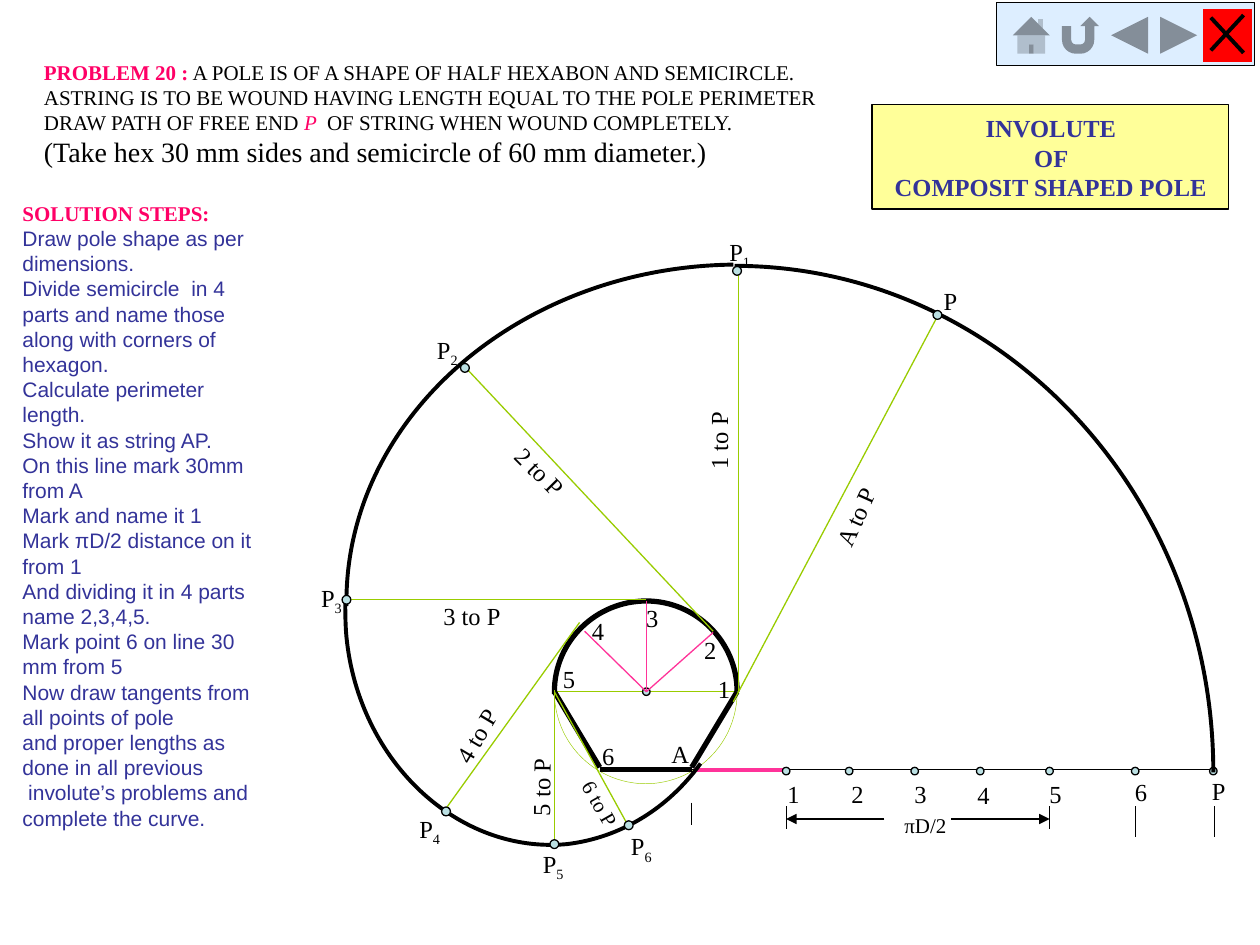
from lxml import etree
from pptx import Presentation
from pptx.dml.color import RGBColor
from pptx.enum.shapes import MSO_CONNECTOR, MSO_SHAPE
from pptx.enum.text import MSO_AUTO_SIZE, PP_ALIGN
from pptx.oxml.ns import qn
from pptx.util import Inches, Pt

STRAIGHT = MSO_CONNECTOR.STRAIGHT
OVAL, RECTANGLE, BLANK_BUTTON = MSO_SHAPE.OVAL, MSO_SHAPE.RECTANGLE, MSO_SHAPE.ACTION_BUTTON_CUSTOM
BUTTON_ICONS = (MSO_SHAPE.ACTION_BUTTON_HOME, MSO_SHAPE.ACTION_BUTTON_RETURN,
                MSO_SHAPE.ACTION_BUTTON_BACK_OR_PREVIOUS,
                MSO_SHAPE.ACTION_BUTTON_FORWARD_OR_NEXT)
FIT_TEXT, CENTER, LEFT = MSO_AUTO_SIZE.SHAPE_TO_FIT_TEXT, PP_ALIGN.CENTER, PP_ALIGN.LEFT


class Theme:
    serif, sans = "Times New Roman", "Arial"
    black, white, navy = "000000", "FFFFFF", "333399"
    red, close_red, pink = "FF0066", "FF0000", "FF3399"
    green, dot, yellow, button = "99CC00", "BBE0E3", "FFFF99", "DDEEFF"
    small, label, large = 12, 14, 16
    hair, thin, curve, pole = 0.25, 0.75, 2.25, 3


# Each paragraph is a list of (text, colour, bold, italic)
PROBLEM = [
    [("PROBLEM 20 :", Theme.red, True, False),
     (" A POLE IS OF A SHAPE OF HALF HEXABON AND SEMICIRCLE.", Theme.black, False, False)],
    [("ASTRING IS TO BE WOUND HAVING LENGTH EQUAL TO THE POLE PERIMETER",
      Theme.black, False, False)],
    [("DRAW PATH OF FREE END ", Theme.black, False, False), ("P ", Theme.red, False, True),
     (" OF STRING WHEN WOUND COMPLETELY.", Theme.black, False, False)],
    [("(Take hex 30 mm sides and semicircle of 60 mm diameter.)", Theme.black, False, False)],
]
TITLE = ["INVOLUTE", " OF ", "COMPOSIT SHAPED POLE"]
STEPS_HEADING = "SOLUTION STEPS:"
STEPS = [
    "Draw pole shape as per dimensions.",
    "Divide semicircle  in 4 parts and name those along with corners of  hexagon.",
    "Calculate perimeter length.",
    "Show it as string AP.",
    "On this line mark 30mm from A",
    "Mark and name it 1",
    "Mark πD/2 distance on it from 1",
    "And dividing it in 4 parts name 2,3,4,5.",
    "Mark point 6 on line 30 mm from 5",
    "Now draw tangents from all points of pole",
    "and proper lengths as done in all previous",
    " involute’s problems and complete the curve.",
]

# Lines: start, end, colour, width
POLE_SIDES = [((4.4, 5.49), (5.85, 5.49), Theme.green, Theme.thin),
              ((4.76, 6.11), (5.49, 6.11), Theme.black, Theme.pole),
              ((4.4, 5.49), (4.76, 6.09), Theme.black, Theme.pole),
              ((5.85, 5.49), (5.49, 6.09), Theme.black, Theme.pole)]
RADIUS_ENDS = [(5.13, 4.77), (4.64, 5.01), (5.66, 5.02)]
POLE_CENTER = (5.13, 5.49)
STRING_Y = 6.11

# Curves: start point, then control, control, end for each Bezier segment
SEMICIRCLE = [(4.4, 5.51), (4.4, 5.5), (4.4, 5.5), (4.4, 5.49),
              (4.4, 5.09), (4.73, 4.77), (5.13, 4.77),
              (5.52, 4.77), (5.85, 5.09), (5.85, 5.49)]
INVOLUTE = [
    [(5.83, 2.11), (7.93, 2.11), (9.63, 3.91), (9.63, 6.13)],
    [(5.82, 2.1), (4.11, 2.12), (2.73, 3.33), (2.75, 4.81)],
    [(2.74, 4.75), (2.74, 4.85), (2.74, 4.96), (2.75, 5.06),
     (2.85, 6.05), (3.64, 6.78), (4.5, 6.7),
     (4.92, 6.65), (5.3, 6.42), (5.56, 6.06)],
]

# Names: text, left, top
POLE_NAMES = [("1", 5.6, 5.3), ("2", 5.49, 4.99), ("3", 5.03, 4.74), ("4", 4.6, 4.84),
              ("5", 4.37, 5.22), ("6", 4.68, 5.83), ("A", 5.23, 5.82)]
STRING_NAMES = [("1", 6.15, 6.13), ("2", 6.66, 6.13), ("3", 7.16, 6.13), ("4", 7.66, 6.14),
                ("5", 8.23, 6.13), ("6", 8.91, 6.12), ("P", 9.52, 6.11)]
STRING_DOTS = [6.24, 6.74, 7.26, 7.78, 8.33, 9.01, 9.63]
TICKS = [(5.49, 6.37, 6.55), (6.24, 6.4, 6.58), (8.33, 6.4, 6.58),
         (9.01, 6.4, 6.64), (9.64, 6.4, 6.64)]  # x, top, bottom
ARROWS = [((7.55, 6.5), (8.33, 6.5)), ((7.02, 6.5), (6.24, 6.5))]

# Tangents: pole point, tangent end, dot centre, subscript, P place,
# (label, left, top, width, rotation, size)
TANGENTS = [
    ((5.86, 5.5), (5.86, 2.13), (5.85, 2.15), "1", (5.69, 1.83),
     ("1 to P", 5.37, 3.33, 0.66, 270, Theme.label)),
    ((5.66, 5.01), (3.67, 2.89), (3.69, 2.92), "2", (3.37, 2.61),
     ("2 to P", 3.96, 3.58, 0.66, 45.3, Theme.label)),
    ((5.13, 4.76), (2.73, 4.76), (2.75, 4.76), "3", (2.45, 4.58),
     ("3 to P", 3.42, 4.72, 0.66, 0, Theme.label)),
    ((4.6, 4.94), (3.53, 6.43), (3.54, 6.44), "4", (3.23, 6.41),
     ("4 to P", 3.45, 5.67, 0.66, 300.7, Theme.label)),
    ((5.82, 5.57), (7.43, 2.53), (7.44, 2.5), "", (7.39, 2.22),
     ("A to P", 6.44, 3.93, 0.7, 294.2, Theme.label)),
    ((4.4, 5.48), (4.4, 6.69), (4.4, 6.7), "5", (4.21, 6.69),
     ("5 to P", 3.96, 6.08, 0.66, 270.5, Theme.label)),
    ((4.4, 5.49), (5, 6.58), (4.99, 6.55), "6", (4.91, 6.55),
     ("6 to P", 4.47, 6.23, 0.59, 60.4, Theme.small)),
]
BUTTON_LEFT, BUTTON_TOP, BUTTON_STEP = 7.99, 0.07, 0.39
CLOSE_CROSS = [((9.61, 0.14), (9.87, 0.42)), ((9.87, 0.12), (9.61, 0.4))]


def rgb(color):
    return RGBColor.from_string(color)


def inches(*lengths):
    return [Inches(length) for length in lengths]


def add_line(page, start, end, color=Theme.black, width=Theme.thin, arrow=False):
    line = page.shapes.add_connector(STRAIGHT, *inches(*start, *end))
    line.line.color.rgb = rgb(color)
    line.line.width = Pt(width)
    properties = line._element.spPr
    if arrow:
        etree.SubElement(properties.find(qn("a:ln")), qn("a:tailEnd"), type="triangle")
    etree.SubElement(properties, qn("a:effectLst"))


def add_box(page, kind, place, fill, line=None, width=Theme.thin):
    box = page.shapes.add_shape(kind, *inches(*place))
    box.shadow.inherit = False
    box.fill.solid()
    box.fill.fore_color.rgb = rgb(fill)
    if line:
        box.line.color.rgb = rgb(line)
        box.line.width = Pt(width)
    else:
        box.line.fill.background()


def add_dot(page, center, size=0.07):
    x, y = center
    add_box(page, OVAL, (x - size / 2, y - size / 2, size, size), Theme.dot, Theme.black)


def add_curve(page, points, width):
    """Outline the points, then turn each three straight steps into one Bezier segment."""
    start, *rest = [inches(*point) for point in points]
    builder = page.shapes.build_freeform(*start)
    builder.add_line_segments(rest, close=False)
    curve = builder.convert_to_shape()
    steps = list(curve._element.iter(qn("a:lnTo")))
    for index in range(0, len(steps), 3):
        segment = etree.Element(qn("a:cubicBezTo"))
        steps[index].addprevious(segment)
        for step in steps[index:index + 3]:
            segment.append(step[0])
            step.getparent().remove(step)
    curve.shadow.inherit = False
    curve.fill.background()
    curve.line.color.rgb = rgb(Theme.black)
    curve.line.width = Pt(width)


def add_text(page, place, paragraphs, wrap=False, rotation=0):
    """Paragraphs are (spans, size, font, alignment); spans as in PROBLEM."""
    box = page.shapes.add_textbox(*inches(*place))
    box.rotation = rotation
    frame = box.text_frame
    frame.word_wrap = wrap
    frame.auto_size = FIT_TEXT
    for index, (spans, size, font, alignment) in enumerate(paragraphs):
        para = frame.paragraphs[0] if index == 0 else frame.add_paragraph()
        para.alignment = alignment
        for text, color, bold, italic in spans:
            span = para.add_run()
            span.text = text
            span.font.size, span.font.name = Pt(size), font
            span.font.color.rgb = rgb(color)
            span.font.bold, span.font.italic = bold, italic
    return box


def add_label(page, text, left, top, width=0.3, rotation=0, size=Theme.label, subscript=""):
    spans = [(part, Theme.black, False, False) for part in (text, subscript) if part]
    height = 0.33 if size == Theme.label else 0.3
    box = add_text(page, (left, top, width, height), [(spans, size, Theme.serif, LEFT)],
                   rotation=rotation)
    if subscript:
        box.text_frame.paragraphs[0].runs[1]._r.get_or_add_rPr().set("baseline", "-25000")


def draw_pole(page):
    add_box(page, OVAL, (4.4, 4.77, 1.45, 1.45), Theme.white, Theme.green, Theme.hair)
    for side in POLE_SIDES:
        add_line(page, *side)
    add_curve(page, SEMICIRCLE, Theme.pole)
    add_dot(page, POLE_CENTER, 0.06)
    for end in RADIUS_ENDS:
        add_line(page, POLE_CENTER, end, Theme.pink)


def draw_string(page):
    add_line(page, (4.76, STRING_Y), (9.64, STRING_Y))
    for name in POLE_NAMES + STRING_NAMES:
        add_label(page, *name)
    add_line(page, (5.51, STRING_Y), (6.23, STRING_Y), Theme.pink, Theme.curve)
    for x in STRING_DOTS:
        add_dot(page, (x, STRING_Y + 0.01), 0.06)
    for x, top, bottom in TICKS:
        add_line(page, (x, top), (x, bottom))
    for start, end in ARROWS:
        add_line(page, start, end, arrow=True)
    add_label(page, "πD/2", 7.08, 6.4, 0.54, size=Theme.small)


def draw_involute(page):
    for points in INVOLUTE:
        add_curve(page, points, Theme.curve)
    for start, end, dot, subscript, place, label in TANGENTS:
        add_line(page, start, end, Theme.green)
        add_dot(page, dot)
        add_label(page, "P", *place, 0.37 if subscript else 0.31, subscript=subscript)
        add_label(page, *label)


def write_texts(page):
    add_box(page, RECTANGLE, (6.92, 0.83, 2.83, 0.83), Theme.yellow, Theme.black)
    add_text(page, (7, 0.85, 2.68, 0.8),
             [([(line, Theme.navy, True, False)], Theme.label, Theme.serif, CENTER)
              for line in TITLE])
    sizes = [Theme.small] * 3 + [Theme.large]
    add_text(page, (0.25, 0.42, 6.38, 0.97),
             [(spans, size, Theme.serif, LEFT) for spans, size in zip(PROBLEM, sizes)])
    heading = ([(STEPS_HEADING, Theme.red, True, False)], Theme.small, Theme.serif, LEFT)
    add_text(page, (0.08, 1.54, 2.17, 5.09),
             [heading] + [([(step, Theme.navy, False, False)], Theme.small, Theme.sans, LEFT)
                          for step in STEPS], wrap=True)


def draw_navigation(page):
    add_box(page, BLANK_BUTTON, (7.91, 0.02, 2.05, 0.5), Theme.button, Theme.black, 0.5)
    for index, icon in enumerate(BUTTON_ICONS + (BLANK_BUTTON,)):
        fill = Theme.close_red if icon == BLANK_BUTTON else Theme.button
        add_box(page, icon, (BUTTON_LEFT + index * BUTTON_STEP, BUTTON_TOP, 0.39, 0.42), fill)
    for start, end in CLOSE_CROSS:
        add_line(page, start, end, width=Theme.curve)


def main():
    deck = Presentation()
    deck.slide_width, deck.slide_height = inches(10, 7.5)
    page = deck.slides.add_slide(deck.slide_layouts[6])
    for draw in (draw_pole, draw_string, draw_involute, write_texts, draw_navigation):
        draw(page)
    deck.save("out.pptx")


if __name__ == "__main__":
    main()
